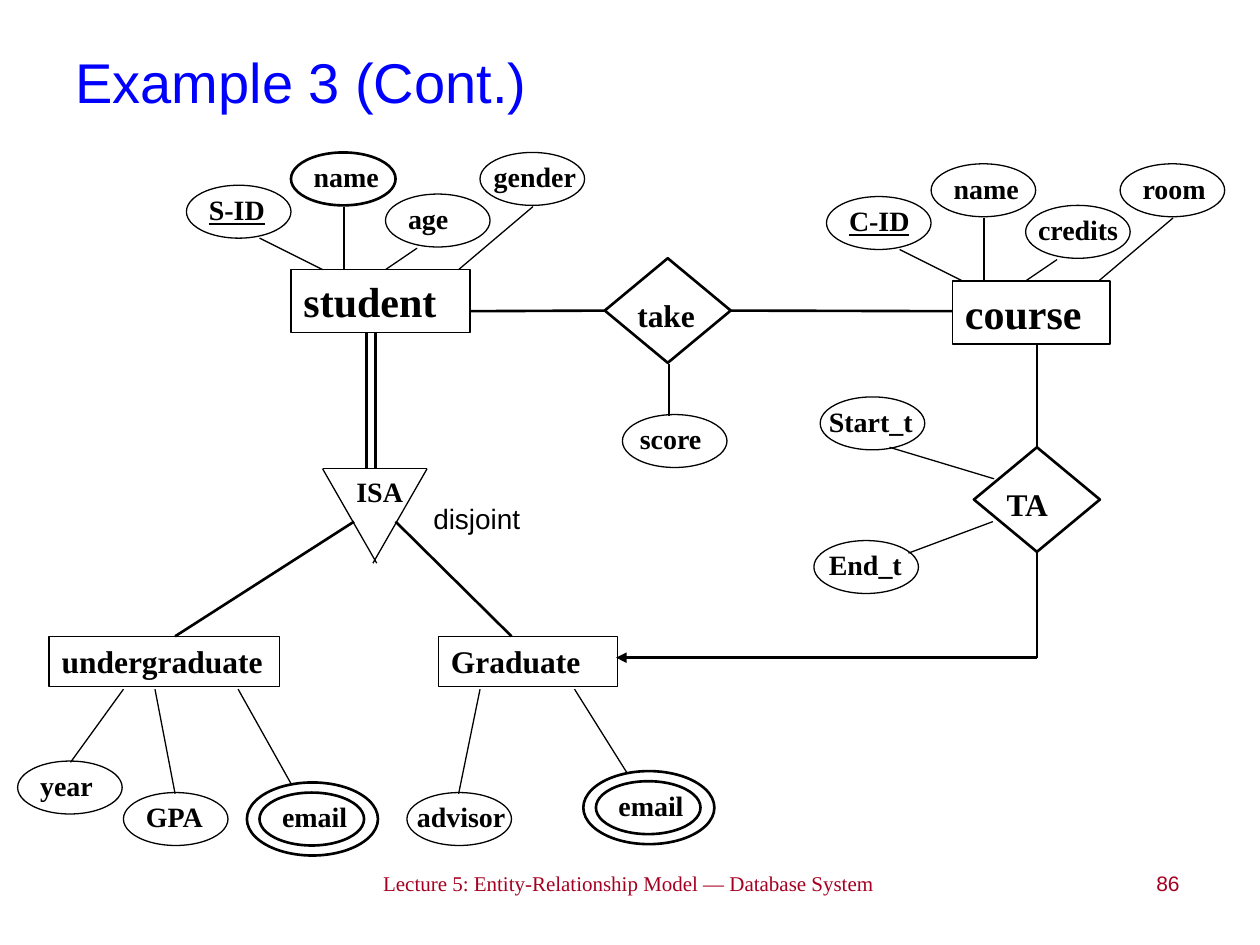
import pptx
import pptx.util
import pptx.dml.color
import pptx.enum.shapes
import pptx.enum.text
import pptx.oxml.ns
import lxml.etree

Inches = pptx.util.Inches
Shape = pptx.enum.shapes.MSO_SHAPE
Align = pptx.enum.text.PP_ALIGN
Anchor = pptx.enum.text.MSO_ANCHOR

SERIF, SANS = "Times New Roman", "Arial"
BLACK, BLUE, RED = "000000", "0000FF", "A50021"
THIN, THICK = 0.75, 1.5
OVAL_W, OVAL_H = 0.83, 0.42
TOP, LEFT, BOTTOM, RIGHT = range(4)


def color(code):
    return pptx.dml.color.RGBColor.from_string(code)


def write(frame, words, size, font=SERIF, ink=BLACK, bold=True, under=False,
          align=Align.LEFT, anchor=Anchor.TOP):
    frame.word_wrap = True
    frame.vertical_anchor = anchor
    line = frame.paragraphs[0]
    line.text = words
    line.alignment = align
    line.font.name = font
    line.font.size = pptx.util.Pt(size)
    line.font.bold = bold
    line.font.underline = under
    line.font.color.rgb = color(ink)


def label(slide, words, x, y, w, h, size, **style):
    box = slide.shapes.add_textbox(Inches(x), Inches(y), Inches(w), Inches(h))
    write(box.text_frame, words, size, **style)


def outline(slide, kind, x, y, w, h, width=THIN):
    shape = slide.shapes.add_shape(kind, Inches(x), Inches(y), Inches(w), Inches(h))
    shape.shadow.inherit = False
    shape.fill.background()
    shape.line.color.rgb = color(BLACK)
    shape.line.width = pptx.util.Pt(width)
    return shape


def link(slide, x1, y1, x2, y2, width=THIN, begin=None, end=None, arrow=False):
    """Draw a line; begin and end are (shape, side) pairs, arrow points to the start."""
    line = slide.shapes.add_connector(
        pptx.enum.shapes.MSO_CONNECTOR.STRAIGHT,
        Inches(x1), Inches(y1), Inches(x2), Inches(y2))
    line.line.color.rgb = color(BLACK)
    line.line.width = pptx.util.Pt(width)
    if begin:
        line.begin_connect(*begin)
    if end:
        line.end_connect(*end)
    qn = pptx.oxml.ns.qn
    if arrow:
        lxml.etree.SubElement(line.line._get_or_add_ln(), qn("a:headEnd"), type="triangle")
    lxml.etree.SubElement(line._element.spPr, qn("a:effectLst"))


def entity(slide, words, x, y, w, h, size):
    box = outline(slide, Shape.RECTANGLE, x, y, w, h)
    write(box.text_frame, words, size)


def relation(slide, words, x, y):
    shape = outline(slide, Shape.DIAMOND, x, y, 1, 0.83, THICK)
    label(slide, words, x + 0.16, y + 0.25, 0.67, 0.4, 18)
    return shape


def field(slide, words, x, y, shift=0.08, width=THIN, under=False):
    """Draw an attribute oval whose text starts shift inches from its left."""
    outline(slide, Shape.OVAL, x, y, OVAL_W, OVAL_H, width)
    label(slide, words, x + shift, y + 0.01, 0.98, 0.37, 16, under=under)


def multi(slide, words, x, y):
    """Draw a multivalued attribute as a double oval."""
    outline(slide, Shape.OVAL, x, y, 1.04, 0.58, THICK)
    field(slide, words, x + 0.1, y + 0.08, width=THICK)


def cluster(slide, x, y, key, third, fourth, shifts, width=THIN):
    """Draw a key, a name and two more attributes with links to an entity below."""
    field(slide, key, x, y + 0.26, under=True)
    field(slide, "name", x + 0.83, y, width=width)
    field(slide, third, x + 1.58, y + 0.33, shifts[0])
    field(slide, fourth, x + 2.33, y, shifts[1])
    for x1, y1, x2 in [(0.58, 0.68, 1.08), (1.25, 0.43, 1.25),
                       (1.83, 0.76, 1.58), (2.75, 0.43, 2.16)]:
        link(slide, x + x1, y + y1, x + x2, y + 0.93)


def upper(slide, x, y):
    """Draw student, course and the take relation."""
    cluster(slide, x, y, "S-ID", "age", "gender", (0.08, 0.01), THICK)
    entity(slide, "student", x + 0.83, y + 0.93, 1.42, 0.5, 24)
    cluster(slide, x + 5.08, y + 0.09, "C-ID", "credits", "room", (0, 0.08))
    entity(slide, "course", x + 6.08, y + 1.02, 1.25, 0.5, 24)
    take = relation(slide, "take", x + 3.32, y + 0.84)
    level = y + 1.26
    link(slide, x + 2.25, level, x + 3.32, level, THICK, end=(take, LEFT))
    link(slide, x + 4.32, level, x + 6.08, level, THICK, begin=(take, RIGHT))
    field(slide, "score", x + 3.46, y + 2.08, 0.04)
    link(slide, x + 3.83, y + 1.68, x + 3.83, y + 2.09)


def tutor(slide, x, y):
    """Draw the TA relation between course and Graduate."""
    ta = relation(slide, "TA", x, y)
    mid = x + 0.5
    link(slide, mid, y, mid, y - 0.83, THICK, begin=(ta, TOP))
    link(slide, mid, y + 0.83, mid, y + 1.67, THICK, begin=(ta, BOTTOM))
    link(slide, x - 2.84, y + 1.67, mid, y + 1.67, THICK, arrow=True)
    field(slide, "Start_t", x - 1.22, y - 0.4, -0.03)
    field(slide, "End_t", x - 1.27, y + 0.74, 0.02)
    link(slide, x - 0.67, y, x + 0.16, y + 0.25)
    link(slide, x - 0.52, y + 0.84, x + 0.15, y + 0.59)


def isa(slide, x, y):
    """Draw the ISA triangle with its links up and down."""
    link(slide, x, y, x + 0.83, y)
    link(slide, x, y, x + 0.43, y + 0.75)
    link(slide, x + 0.83, y, x + 0.4, y + 0.75)
    label(slide, "ISA", x + 0.17, y, 0.58, 0.37, 16)
    label(slide, "disjoint", x + 0.78, y + 0.21, 1.08, 0.37, 16, font=SANS, bold=False)
    for dx in (0.35, 0.42):
        link(slide, x + dx, y - 1.08, x + dx, y, THICK)
    link(slide, x + 0.25, y + 0.42, x - 1.17, y + 1.33, THICK)
    link(slide, x + 0.58, y + 0.42, x + 1.5, y + 1.33, THICK)


def lower(slide, x, y):
    """Draw undergraduate and Graduate with their attributes."""
    entity(slide, "undergraduate", x, y, 1.83, 0.4, 18)
    entity(slide, "Graduate", x + 3.09, y, 1.42, 0.4, 18)
    field(slide, "year", x - 0.25, y + 0.99)
    field(slide, "GPA", x + 0.59, y + 1.24)
    multi(slide, "email", x + 1.57, y + 1.16)
    field(slide, "advisor", x + 2.84, y + 1.24, -0.02)
    multi(slide, "email", x + 4.24, y + 1.07)
    for x1, y1, x2 in [(0.17, 1, 0.59), (1, 1.25, 0.84), (1.92, 1.17, 1.5),
                       (3.25, 1.25, 3.42), (4.59, 1.09, 4.17)]:
        link(slide, x + x1, y + y1, x + x2, y + 0.42)


def footer(slide, y):
    label(slide, "Lecture 5: Entity-Relationship Model — Database System",
          2.31, y, 5.36, 0.45, 12, ink=RED, bold=False, align=Align.CENTER)
    label(slide, "86", 8.04, y, 1.42, 0.44, 12, font=SANS, ink=RED,
          bold=False, align=Align.RIGHT)


def main():
    deck = pptx.Presentation()
    deck.slide_width, deck.slide_height = Inches(10), Inches(7.5)
    slide = deck.slides.add_slide(deck.slide_layouts[6])
    label(slide, "Example 3 (Cont.)", 0.5, 0.02, 9, 1.25, 32, font=SANS,
          ink=BLUE, bold=False, anchor=Anchor.MIDDLE)
    upper(slide, 1.48, 1.21)
    tutor(slide, 7.73, 3.55)
    isa(slide, 2.56, 3.72)
    lower(slide, 0.39, 5.05)
    footer(slide, 6.86)
    deck.save("out.pptx")


if __name__ == "__main__":
    main()
